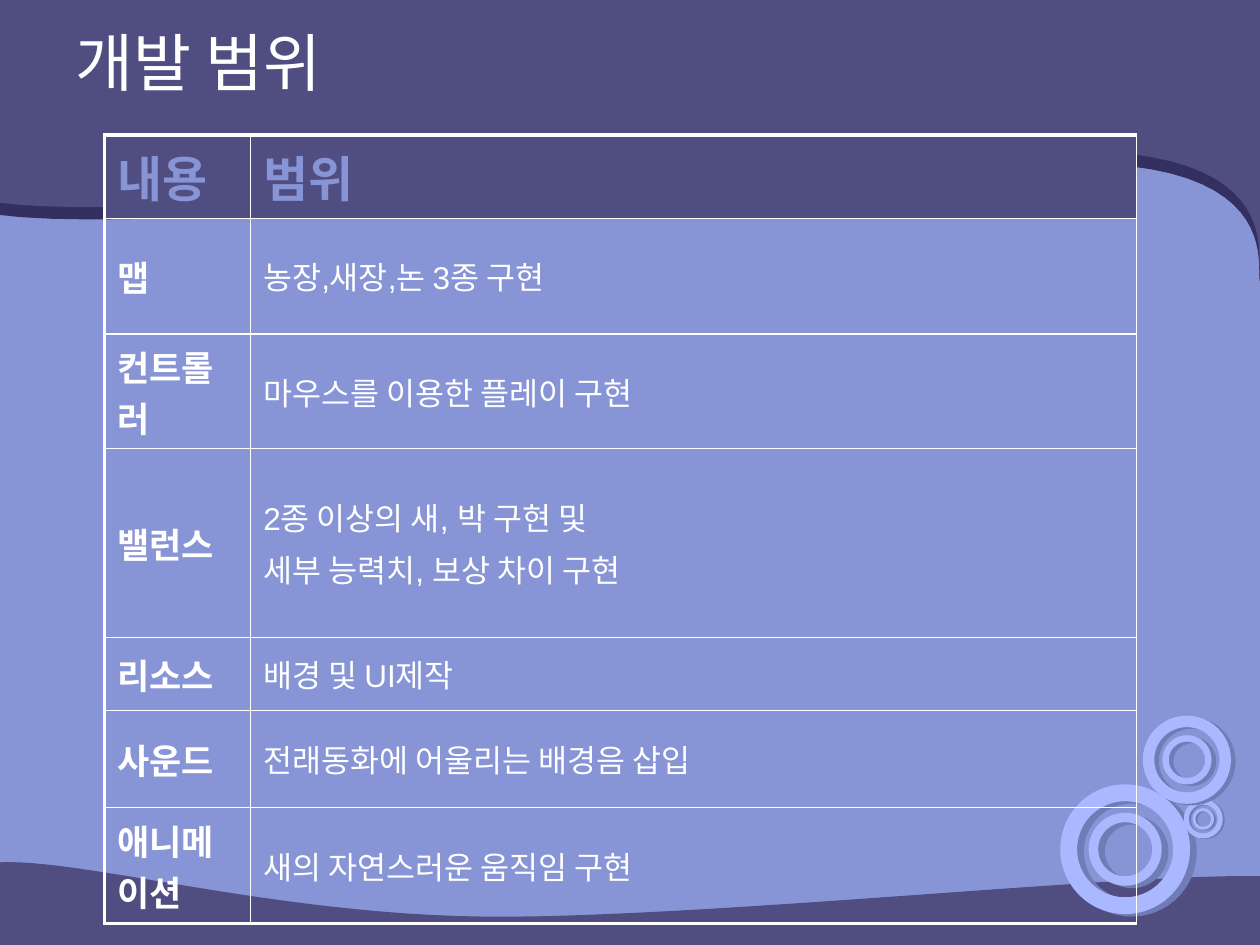
"""Build the development scope slide with its table, waves and rings."""
from lxml import etree
from pptx import Presentation
from pptx.dml.color import RGBColor
from pptx.enum.shapes import MSO_SHAPE
from pptx.enum.text import MSO_ANCHOR, PP_ALIGN
from pptx.oxml.ns import qn
from pptx.util import Inches, Pt

DONUT = MSO_SHAPE.DONUT
MIDDLE = MSO_ANCHOR.MIDDLE
LEFT = PP_ALIGN.LEFT
WHITE, BLUE, PURPLE = "FFFFFF", "8794D5", "504D80"
DARK, RING, RING_SIDE = "342F61", "AAB8FF", "707CB5"
STEPS = 24


def paint(fill, color):
    """Make a fill solid in a hex colour."""
    fill.solid()
    fill.fore_color.rgb = RGBColor.from_string(color)


def write(tf, text, size=18, color=WHITE, bold=False, before=0):
    """Write one paragraph for each line of text."""
    tf.word_wrap = True
    for i, line in enumerate(text.split("\n")):
        p = tf.paragraphs[0] if i == 0 else tf.add_paragraph()
        p.alignment = LEFT
        p.space_before = Pt(size * before)
        r = p.add_run()
        r.text = line
        r.font.name = "Arial"
        r.font.size = Pt(size)
        r.font.bold = bold
        paint(r.font.fill, color)


prs = Presentation()
prs.slide_width, prs.slide_height = Inches(10), Inches(7.5)
s = prs.slides.add_slide(prs.slide_layouts[5])
paint(s.background.fill, BLUE)

bottom_wave = [
    (-0.02, 6.85),
    [(0.62, 6.81), (2.16, 7.26), (3.83, 7.28)],
    [(5.5, 7.3), (8.98, 6.93), (10.01, 6.96)],
    [(10, 7.51)], [(-0.01, 7.53)],
]
top_wave = [
    (-0.03, -0.04), [(10.06, -0.05)], [(10.06, 2.12)],
    [(9.84, 2.33), (10.44, 1.29), (8.76, 1.2)],
    [(7.08, 1.12), (1.43, 1.81), (-0.04, 1.6)],
]
shadows = []
for (start, *segments), shadow in [(bottom_wave, None), (top_wave, (DARK, 7, 90))]:
    points = [start]
    for segment in segments:
        if len(segment) == 1:
            points += segment
            continue
        curve = [points[-1], *segment]
        for n in range(1, STEPS + 1):
            t = n / STEPS
            weights = ((1 - t) ** 3, 3 * t * (1 - t) ** 2, 3 * t * t * (1 - t), t ** 3)
            points.append(tuple(sum(w * c[axis] for w, c in zip(weights, curve))
                                for axis in (0, 1)))
    corners = [(Inches(x), Inches(y)) for x, y in points]
    builder = s.shapes.build_freeform(*corners[0])
    builder.add_line_segments(corners[1:])
    sp = builder.convert_to_shape()
    paint(sp.fill, PURPLE)
    paint(sp.line.fill, PURPLE)
    sp.line.width = Pt(0.75)
    shadows.append((sp, shadow))

rings = s.shapes.add_group_shape()
for x, y, outer, inner in [(8.93, 6.74, 1.03, 0.58), (9.55, 6.5, 0.31, 0.17),
                           (9.42, 6.03, 0.7, 0.39)]:
    for size in (outer, inner):
        sp = rings.shapes.add_shape(DONUT, Inches(x - size / 2), Inches(y - size / 2),
                                    Inches(size), Inches(size))
        sp.adjustments[0] = 0.13
        paint(sp.fill, RING)
        sp.line.fill.background()
        shadows.append((sp, (RING_SIDE, 4 * outer, 20)))

for sp, shadow in shadows:
    sp.shadow.inherit = False
    if shadow:
        color, distance, angle = shadow
        effects = sp._element.spPr.find(qn("a:effectLst"))
        outer = etree.SubElement(effects, qn("a:outerShdw"), blurRad="0",
                                 dist=str(Pt(distance)), dir=str(angle * 60000),
                                 algn="ctr", rotWithShape="0")
        etree.SubElement(outer, qn("a:srgbClr"), val=color)

title = s.shapes.title
title.left, title.top = Inches(0.5), Inches(0.21)
title.width, title.height = Inches(8.87), Inches(0.55)
title.text_frame.vertical_anchor = MIDDLE
write(title.text_frame, "개발 범위", size=36)
s.shapes._spTree.append(title._element)

rows = [
    (0.58, "내용", "범위"),
    (0.92, "맵", "농장,새장,논 3종 구현"),
    (0.78, "컨트롤러", "마우스를 이용한 플레이 구현"),
    (1.5, "밸런스", "2종 이상의 새, 박 구현 및\n세부 능력치, 보상 차이 구현"),
    (0.58, "리소스", "배경 및 UI제작"),
    (0.77, "사운드", "전래동화에 어울리는 배경음 삽입"),
    (0.92, "애니메이션", "새의 자연스러운 움직임 구현"),
]
table = s.shapes.add_table(len(rows), 2, Inches(0.83), Inches(1.07),
                           Inches(8.19), Inches(6.05)).table
table.first_row = table.horz_banding = False
table.columns[0].width, table.columns[1].width = Inches(1.16), Inches(7.03)

for i, (height, *texts) in enumerate(rows):
    table.rows[i].height = Inches(height)
    for j, text in enumerate(texts):
        cell = table.cell(i, j)
        cell.vertical_anchor = MIDDLE
        thick = {"lnL": j == 0, "lnR": False, "lnT": i == 0, "lnB": i == len(rows) - 1}
        for side, heavy in thick.items():
            ln = etree.SubElement(cell._tc.get_or_add_tcPr(), qn("a:" + side),
                                  w=str(Pt(2.25 if heavy else 1)))
            solid = etree.SubElement(ln, qn("a:solidFill"))
            etree.SubElement(solid, qn("a:srgbClr"), val=WHITE)
        if i == 0:
            paint(cell.fill, PURPLE)
            write(cell.text_frame, text, size=28, color=BLUE, bold=True, before=0.2)
        else:
            cell.fill.background()
            write(cell.text_frame, text, size=18 if j else 20, bold=j == 0, before=0.2)

prs.save("out.pptx")
